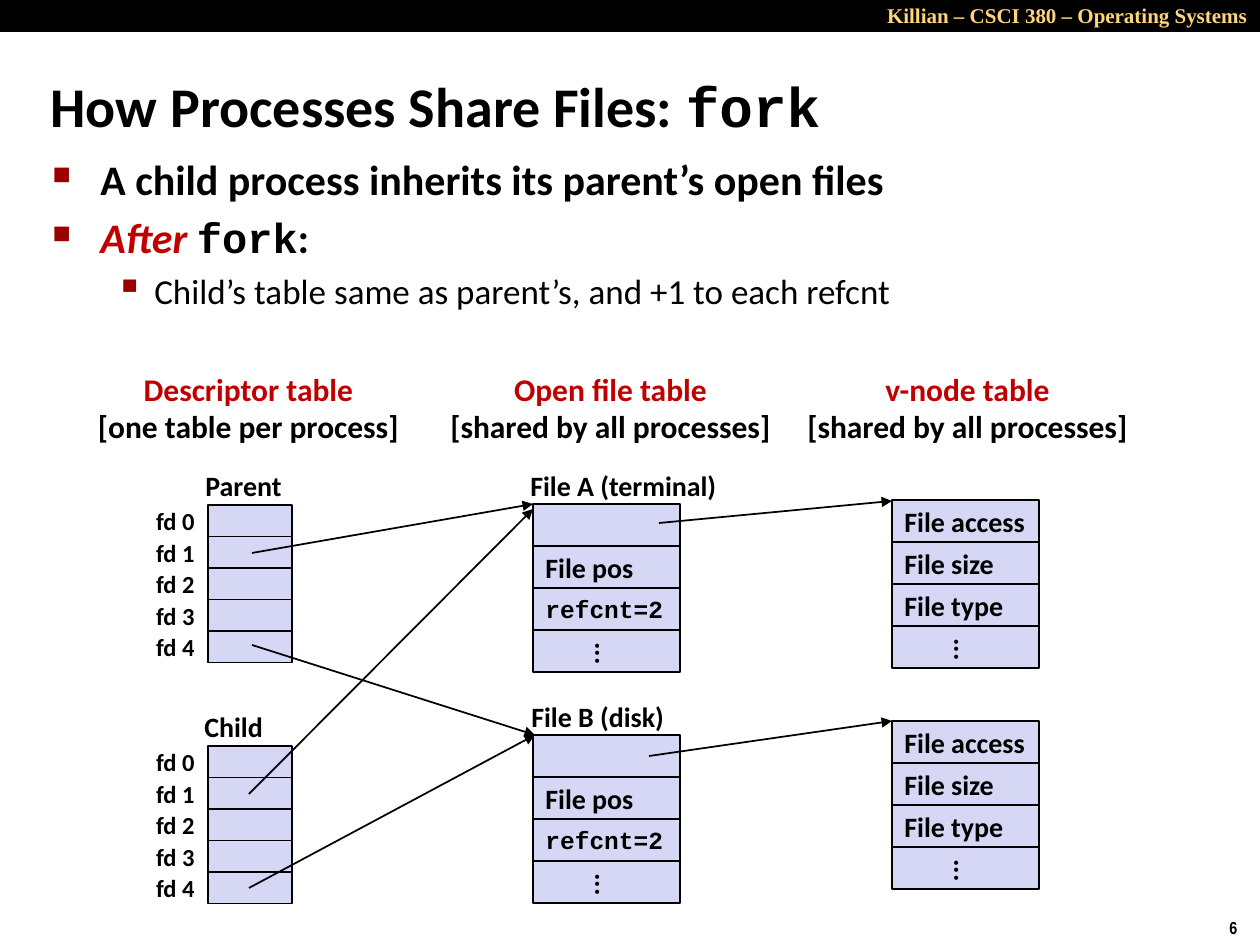
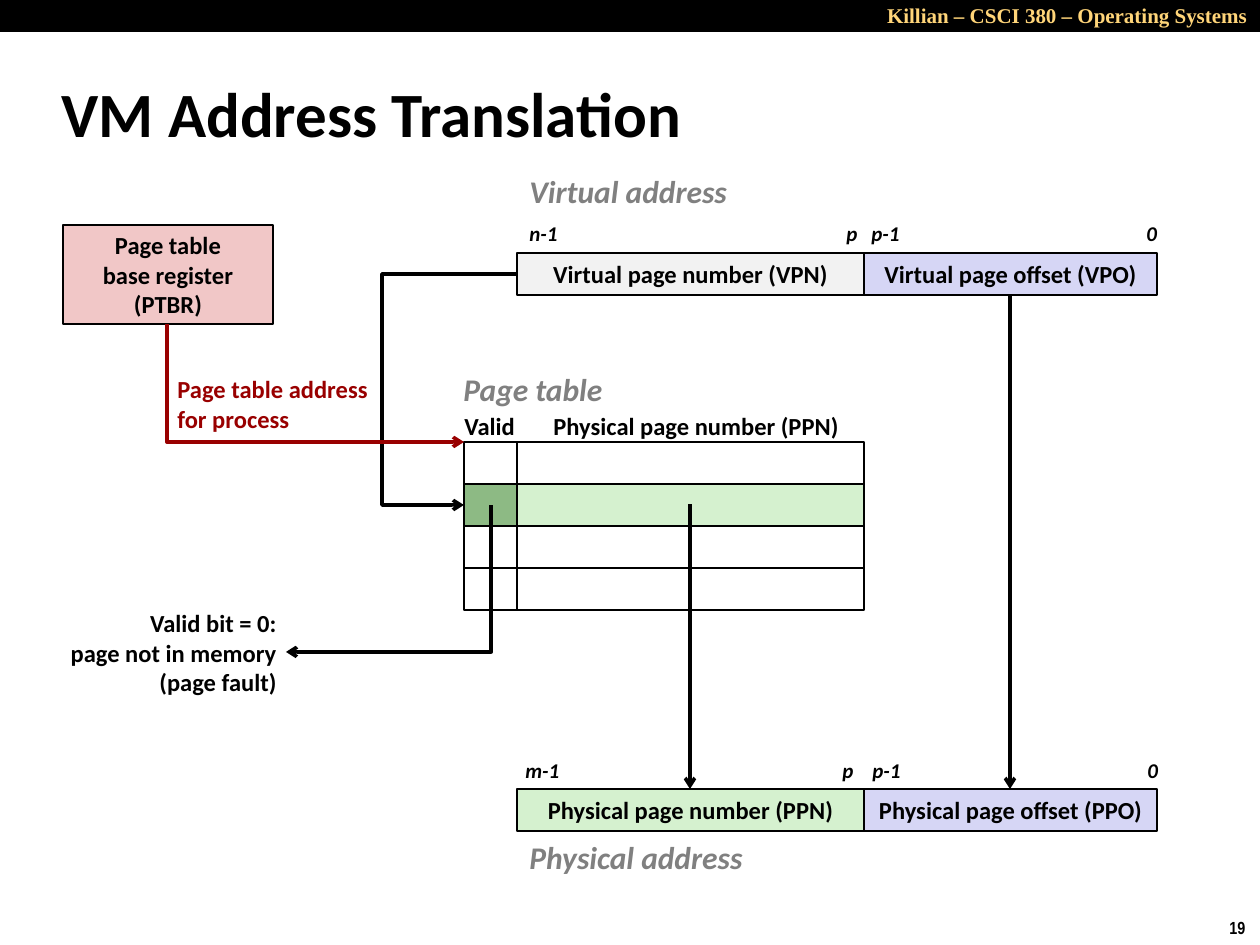
"""Build two operating systems lecture slides: file sharing after fork and address translation."""
import pptx
import pptx.util
import pptx.dml.color
import pptx.enum.shapes
import pptx.enum.text
import pptx.oxml.ns
import lxml.etree

SCALE = 914400 / 126
SANS, MONO = "Calibri", "Courier New"
BLACK, RED, DARK_RED, GRAY = "000000", "C00000", "990000", "808080"
LAVENDER, GREEN, DARK_GREEN, PINK, PALE = "D6D6F5", "D5F1CF", "8DBA84", "F1C7C7", "F2F2F2"
ALIGN = pptx.enum.text.PP_ALIGN
ANCHOR = pptx.enum.text.MSO_ANCHOR
RECTANGLE = pptx.enum.shapes.MSO_SHAPE.RECTANGLE
CONNECTOR = pptx.enum.shapes.MSO_CONNECTOR


def px(value):
    """Turn pixels into EMU."""
    return pptx.util.Emu(round(value * SCALE))


def rgb(value):
    """Turn a hex string into a colour."""
    return pptx.dml.color.RGBColor.from_string(value)


def add_xml(parent, tag, **attributes):
    """Append a DrawingML element with attributes."""
    return lxml.etree.SubElement(parent, pptx.oxml.ns.qn("a:" + tag), attributes)


class Page:
    """Holds the deck style and the current slide."""

    def __init__(self):
        """Open an empty deck."""
        self.deck = pptx.Presentation()
        self.deck.slide_width, self.deck.slide_height = px(1260), px(945)
        self.shapes = None

    def style_span(self, span, size, color=BLACK, bold=True, italic=False, font=SANS):
        """Format one run."""
        span.font.size = pptx.util.Pt(size)
        span.font.color.rgb = rgb(color)
        span.font.bold, span.font.italic, span.font.name = bold, italic, font

    def fill_text(self, box, text, size, align=ALIGN.LEFT, anchor=ANCHOR.MIDDLE, wrap=False, **style):
        """Fill a shape with text of one style."""
        frame = box.text_frame
        frame.text = text
        frame.word_wrap, frame.vertical_anchor = wrap, anchor
        for para in frame.paragraphs:
            para.alignment = align
            for span in para.runs:
                self.style_span(span, size, **style)

    def start(self, number, title, left, top, size, code=""):
        """Add a slide with its title, top band and number."""
        slide = self.deck.slides.add_slide(self.deck.slide_layouts[5])
        self.shapes = slide.shapes
        heading = self.shapes.title
        heading.left, heading.top, heading.width, heading.height = map(px, (left, top, 1046, 105))
        self.fill_text(heading, title, size, wrap=True)
        heading.text_frame.auto_size = pptx.enum.text.MSO_AUTO_SIZE.NONE
        if code:
            span = heading.text_frame.paragraphs[0].add_run()
            span.text = code
            self.style_span(span, size, font=MONO)
        self.cell(0, 0, 1260, 31, BLACK)
        self.label(829, -4, 431, 38, "Killian – CSCI 380 – Operating Systems", 12, align=ALIGN.RIGHT,
                   wrap=True, color="FFD579", font="Times New Roman")
        self.label(1217, 911, 43, 34, number, 10, font="Arial Narrow")

    def label(self, left, top, width, height, text, size, anchor=ANCHOR.TOP, **style):
        """Add a text box."""
        box = self.shapes.add_textbox(*map(px, (left, top, width, height)))
        self.fill_text(box, text, size, anchor=anchor, **style)
        return box

    def cell(self, left, top, width, height, fill=None, text="", size=14, **style):
        """Add an outlined rectangle, filled and labelled on demand."""
        box = self.shapes.add_shape(RECTANGLE, *map(px, (left, top, width, height)))
        box.shadow.inherit = False
        box.line.color.rgb = rgb(BLACK)
        box.line.width = pptx.util.Pt(1)
        if fill:
            box.fill.solid()
            box.fill.fore_color.rgb = rgb(fill)
        else:
            box.fill.background()
        if text:
            self.fill_text(box, text, size, **style)
        return box

    def record(self, left, top, fields):
        """Stack the fields of a table entry, ending in vertical dots."""
        for row, field in enumerate(fields):
            style = {"size": 14, "font": MONO} if "=" in field else {"size": 16}
            self.cell(left, top + 42 * row, 147, 42, LAVENDER, field, **style)
        dots = self.cell(left, top + 42 * len(fields), 147, 42, LAVENDER, "...", 16)
        dots.text_frame._txBody.bodyPr.set("vert", "eaVert")

    def descriptors(self, top):
        """Stack five descriptor slots with their labels."""
        for row in range(5):
            slot = top + 31.5 * row
            self.cell(208, slot, 84, 31.5, LAVENDER)
            self.label(123, slot, 84, 31.5, f"fd {row}", 14, ANCHOR.MIDDLE, align=ALIGN.RIGHT)

    def bullets(self, left, top, width, height, items):
        """Add a bulleted list of (level, spans) items."""
        frame = self.shapes.add_textbox(*map(px, (left, top, width, height))).text_frame
        frame.word_wrap = True
        for index, (level, spans) in enumerate(items):
            para = frame.add_paragraph() if index else frame.paragraphs[0]
            size, margin, hang, mark, percent = ((24, 48, 48, "■", 60), (20, 102, 39, "▪", 110))[level]
            para.level = level
            para.space_before = pptx.util.Pt(size / 5)
            properties = para._p.get_or_add_pPr()
            properties.set("marL", str(px(margin)))
            properties.set("indent", str(px(-hang)))
            add_xml(add_xml(properties, "buClr"), "srgbClr", val=DARK_RED)
            add_xml(properties, "buSzPct", val=str(percent * 1000))
            add_xml(properties, "buChar", char=mark)
            for text, style in spans:
                span = para.add_run()
                span.text = text
                self.style_span(span, size, bold=level == 0, **style)

    def arrow(self, start, end, color=BLACK, width=2, kind=CONNECTOR.STRAIGHT, head="arrow", tip="tailEnd"):
        """Add a connector with an arrowhead at one end."""
        line = self.shapes.add_connector(kind, *map(px, start + end))
        line.line.color.rgb = rgb(color)
        line.line.width = pptx.util.Pt(width)
        properties = line.element.spPr
        add_xml(properties.get_or_add_ln(), tip, type=head)
        add_xml(properties, "effectLst")
        return properties.find(pptx.oxml.ns.qn("a:prstGeom"))

    def corner(self, tip, tail, color=BLACK):
        """Add a one-bend arrow that reaches its tip horizontally."""
        shape = self.arrow(tip, tail, color, kind=CONNECTOR.ELBOW, tip="headEnd")
        shape.set("prst", "bentConnector2")

    def detour(self, start, end, middle):
        """Add a two-bend arrow that turns at the given x."""
        shape = self.arrow(start, end, kind=CONNECTOR.ELBOW)
        ratio = (middle - start[0]) / (end[0] - start[0])
        guides = shape.find(pptx.oxml.ns.qn("a:avLst"))
        add_xml(guides, "gd", name="adj1", fmla=f"val {round(ratio * 100000)}")


def build_fork(page):
    """Draw the slide on sharing files after fork."""
    page.start("6", "How Processes Share Files: ", 38, 53, 32, code="fork")
    page.bullets(40, 147, 1145, 179, [
        (0, [("A child process inherits its parent’s open files", {})]),
        (0, [("After ", {"color": RED, "italic": True}), ("fork", {"font": MONO}), (":", {})]),
        (1, [("Child’s table same as parent’s, and +1 to each refcnt", {})]),
    ])
    for left, width, name, scope in (
        (84, 329, "Descriptor table", "one table per process"),
        (436, 349, "Open file table", "shared by all processes"),
        (793, 349, "v-node table", "shared by all processes"),
    ):
        box = page.label(left, 363, width, 89, f"{name}\n[{scope}]", 18, ANCHOR.MIDDLE, align=ALIGN.CENTER)
        box.text_frame.paragraphs[0].runs[0].font.color.rgb = rgb(RED)
    for top in (505, 746):
        page.descriptors(top)
    for top in (504, 735):
        page.record(533, top, ("", "File pos", "refcnt=2"))
    for top in (500, 721):
        page.record(892, top, ("File access", "File size", "File type"))
    for left, top, width, name in (
        (193, 462, 102, "Parent"), (192, 703, 84, "Child"),
        (518, 462, 213, "File A (terminal)"), (519, 693, 160, "File B (disk)"),
    ):
        page.label(left, top, width, 47, name, 16, ANCHOR.MIDDLE)
    for start, end in (
        ((252, 553), (533, 504)), ((252, 645), (535, 735)),
        ((249, 794), (533, 509)), ((249, 888), (535, 735)),
        ((659, 523), (892, 501)), ((649, 756), (892, 721)),
    ):
        page.arrow(start, end, width=1, head="triangle")


def build_translation(page):
    """Draw the slide on virtual address translation."""
    page.start("19", "VM Address Translation", 49, 60, 36)
    centered = {"align": ALIGN.CENTER, "wrap": True}
    for top, kind, letter, fill in ((253, "Virtual", "V", PALE), (789, "Physical", "P", GREEN)):
        page.cell(517, top, 347, 42, fill, f"{kind} page number ({letter}PN)", **centered)
        page.cell(864, top, 293, 42, LAVENDER, f"{kind} page offset ({letter}PO)", **centered)
    for row in range(4):
        top = 442 + 42 * row
        page.cell(464, top, 53, 42, DARK_GREEN if row == 1 else None)
        page.cell(517, top, 347, 42, GREEN if row == 1 else None)
    page.cell(63, 225, 210, 99, PINK, "Page table\vbase register\n(PTBR)", **centered)

    for left, top, width, text in (
        (517, 166, 224, "Virtual address"), (517, 832, 241, "Physical address"), (451, 364, 179, "Page table"),
    ):
        page.label(left, top, width, 50, text, 18, color=GRAY, italic=True)
    page.label(452, 405, 77, 43, "Valid", 14)
    page.label(541, 405, 312, 43, "Physical page number (PPN)", 14)
    page.label(165, 368, 218, 72, "Page table address\nfor process", 14, color=DARK_RED)
    page.label(57, 602, 232, 102, "Valid bit = 0:\npage not in memory\n(page fault)", 14, align=ALIGN.RIGHT)
    for top, bits in (
        (214, ((517, 59, "n-1"), (834, 42, "p"), (859, 59, "p-1"), (1134, 42, "0"))),
        (751, ((513, 64, "m-1"), (830, 42, "p"), (860, 59, "p-1"), (1135, 42, "0"))),
    ):
        for left, width, bit in bits:
            page.label(left, top, width, 38, bit, 12, italic=True)

    page.detour((517, 274), (464, 505), 382)
    page.arrow((1010, 296), (1010, 789))
    page.arrow((690, 504), (690, 789))
    page.corner((286, 652), (491, 505))
    page.corner((464, 442), (167, 324), DARK_RED)


page = Page()
build_fork(page)
build_translation(page)
page.deck.save("out.pptx")
